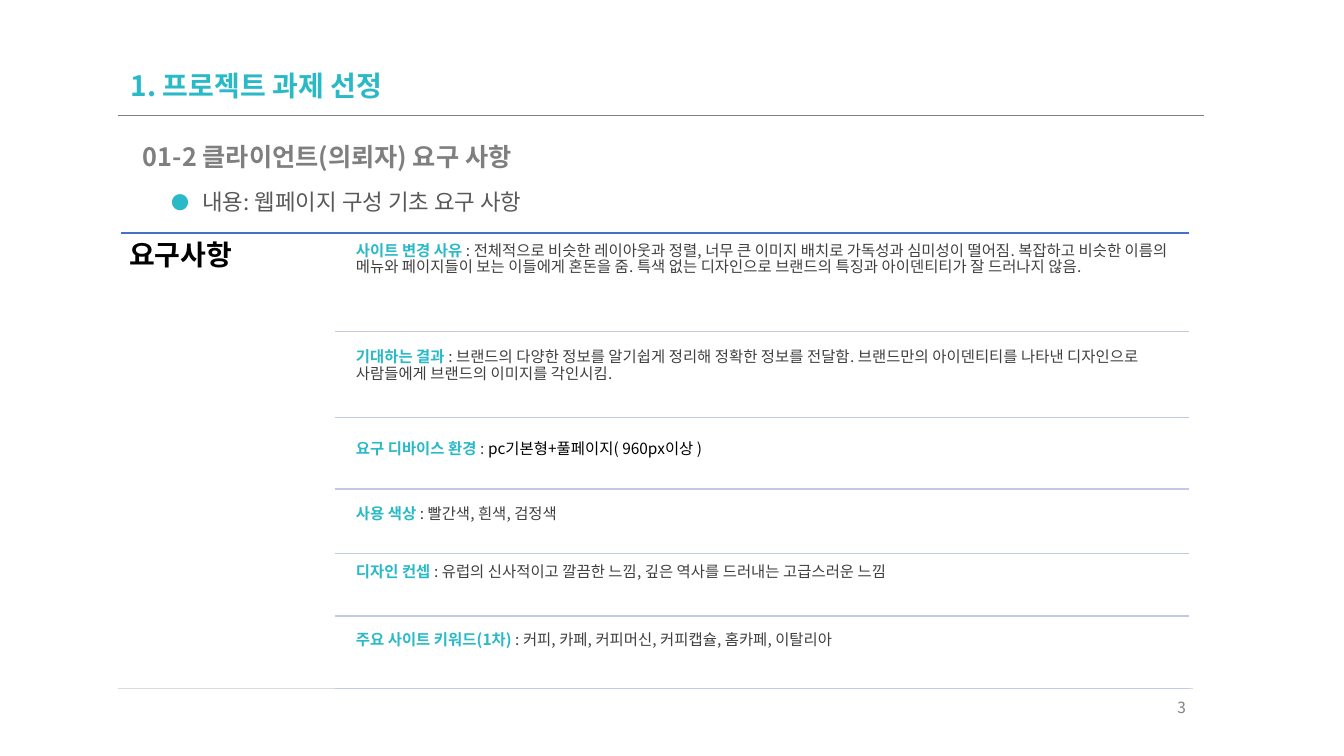
from dataclasses import dataclass

from lxml import etree
from pptx import Presentation
from pptx.dml.color import RGBColor
from pptx.enum.shapes import MSO_CONNECTOR
from pptx.enum.text import MSO_ANCHOR, PP_ALIGN
from pptx.oxml.ns import qn
from pptx.util import Inches, Pt

STRAIGHT = MSO_CONNECTOR.STRAIGHT
TOP, MIDDLE = MSO_ANCHOR.TOP, MSO_ANCHOR.MIDDLE
LEFT, RIGHT = PP_ALIGN.LEFT, PP_ALIGN.RIGHT


@dataclass(frozen=True)
class Theme:
    font: str = "Noto Sans CJK KR"
    accent: str = "2AB9C7"
    heading: str = "7F7F7F"
    subject: str = "595959"
    body: str = "404040"
    black: str = "000000"
    number: str = "808080"
    footer_rule: str = "D9D9D9"
    table_rule: str = "4472C4"
    row_rule: str = "C1C9E4"
    title_size: int = 20
    heading_size: int = 18
    subject_size: int = 16
    small_size: int = 11


class SlideBuilder:
    def __init__(self, page, theme):
        self.page = page
        self.theme = theme

    def rule(self, left, right, y, color, width=1):
        """Draw a horizontal line."""
        line = self.page.shapes.add_connector(
            STRAIGHT, Inches(left), Inches(y), Inches(right), Inches(y))
        line.line.color.rgb = RGBColor.from_string(color)
        line.line.width = Pt(width)
        etree.SubElement(line._element.spPr, qn("a:effectLst"))

    def text(self, place, spans, size, inset=(0.1, 0.05), anchor=TOP,
             **paragraph_format):
        """Add one paragraph of (words, color, bold) spans."""
        box = self.page.shapes.add_textbox(*map(Inches, place))
        frame = box.text_frame
        side, end = map(Inches, inset)
        frame_format = {"word_wrap": True, "vertical_anchor": anchor,
                        "margin_left": side, "margin_right": side,
                        "margin_top": end, "margin_bottom": end}
        for name, value in frame_format.items():
            setattr(frame, name, value)
        para = frame.paragraphs[0]
        for name, value in {"alignment": LEFT, "line_spacing": 0.9,
                            **paragraph_format}.items():
            setattr(para, name, value)
        for words, color, bold in spans:
            span = para.add_run()
            span.text = words
            for name, value in {"name": self.theme.font, "size": Pt(size),
                                "bold": bold}.items():
                setattr(span.font, name, value)
            span.font.color.rgb = RGBColor.from_string(color)
            etree.SubElement(span.font._element, qn("a:ea"),
                             typeface=self.theme.font)
        return para

    def bullet(self, para, indent):
        """Give a paragraph a small round bullet and a hanging indent."""
        settings = para._p.get_or_add_pPr()
        settings.set("marL", str(Inches(indent)))
        settings.set("indent", str(-Inches(indent)))
        color = etree.SubElement(settings, qn("a:buClr"))
        etree.SubElement(color, qn("a:srgbClr"), val=self.theme.accent)
        etree.SubElement(settings, qn("a:buSzPct"), val="80000")
        etree.SubElement(settings, qn("a:buFont"), typeface=self.theme.font)
        etree.SubElement(settings, qn("a:buChar"), char="●")

    def requirement(self, top, bottom, label, details):
        """Add one requirement and the line below it."""
        spans = [(label, self.theme.accent, True)]
        spans += [(words, color, False) for words, color in details]
        self.rule(3.32, 11.79, bottom, self.theme.row_rule)
        self.text((3.48, top, 8.31, 0.74), spans, self.theme.small_size,
                  inset=(0.05, 0.05))


def main():
    deck = Presentation()
    deck.slide_width, deck.slide_height = Inches(13.33), Inches(7.5)
    theme = Theme()
    builder = SlideBuilder(deck.slides.add_slide(deck.slide_layouts[6]), theme)

    # Page frame
    builder.rule(1.17, 11.94, 1.14, theme.heading, 0.5)
    builder.rule(1.17, 11.83, 6.83, theme.footer_rule, 0.5)

    # Headings
    builder.text((1.2, 0.62, 10.78, 0.49),
                 [("1. 프로젝트 과제 선정", theme.accent, True)],
                 theme.title_size, anchor=MIDDLE)
    builder.text((1.32, 1.39, 10.66, 0.34),
                 [("01-2 클라이언트(의뢰자) 요구 사항", theme.heading, True)],
                 theme.heading_size, space_before=Pt(10))
    subject = builder.text(
        (1.6, 1.85, 10.38, 0.34),
        [("내용: 웹페이지 구성 기초 요구 사항", theme.subject, False)],
        theme.subject_size, space_before=Pt(10))
    builder.bullet(subject, 0.31)

    # Requirements
    builder.rule(1.2, 11.79, 2.31, theme.table_rule)
    builder.text((1.2, 2.31, 2.12, 4.83), [("요구사항", theme.black, True)],
                 theme.title_size, inset=(0.08, 0.08))
    requirements = [
        (2.36, 3.29, "사이트 변경 사유 ",
         [(": 전체적으로 비슷한 레이아웃과 정렬, 너무 큰 이미지 배치로 가독성과 "
           "심미성이 떨어짐. 복잡하고 비슷한 이름의 메뉴와 페이지들이 보는 "
           "이들에게 혼돈을 줌. 특색 없는 디자인으로 브랜드의 특징과 "
           "아이덴티티가 잘 드러나지 않음.", theme.body)]),
        (3.42, 4.14, "기대하는 결과 ",
         [(": 브랜드의 다양한 정보를 알기쉽게 정리해 정확한 정보를 전달함. "
           "브랜드만의 아이덴티티를 나타낸 디자인으로 사람들에게 브랜드의 "
           "이미지를 각인시킴.", theme.body)]),
        (4.33, 4.85, "요구 디바이스 환경 ",
         [(": ", theme.body),
          ("pc기본형+풀페이지( 960px이상 )", theme.black)]),
        (4.97, 5.49, "사용 색상 ", [(": 빨간색, 흰색, 검정색", theme.body)]),
        (5.55, 6.11, "디자인 컨셉 ",
         [(": 유럽의 신사적이고 깔끔한 느낌, 깊은 역사를 드러내는 "
           "고급스러운 느낌", theme.body)]),
        (6.22, 6.83, "주요 사이트 키워드(1차) ",
         [(": 커피, 카페, 커피머신, 커피캡슐, 홈카페, 이탈리아", theme.body)]),
    ]
    for requirement in requirements:
        builder.requirement(*requirement)

    # Page number
    builder.text((11.27, 6.88, 0.59, 0.4), [("3", theme.number, False)],
                 theme.small_size, alignment=RIGHT, line_spacing=1.0)

    deck.save("out.pptx")


if __name__ == "__main__":
    main()
